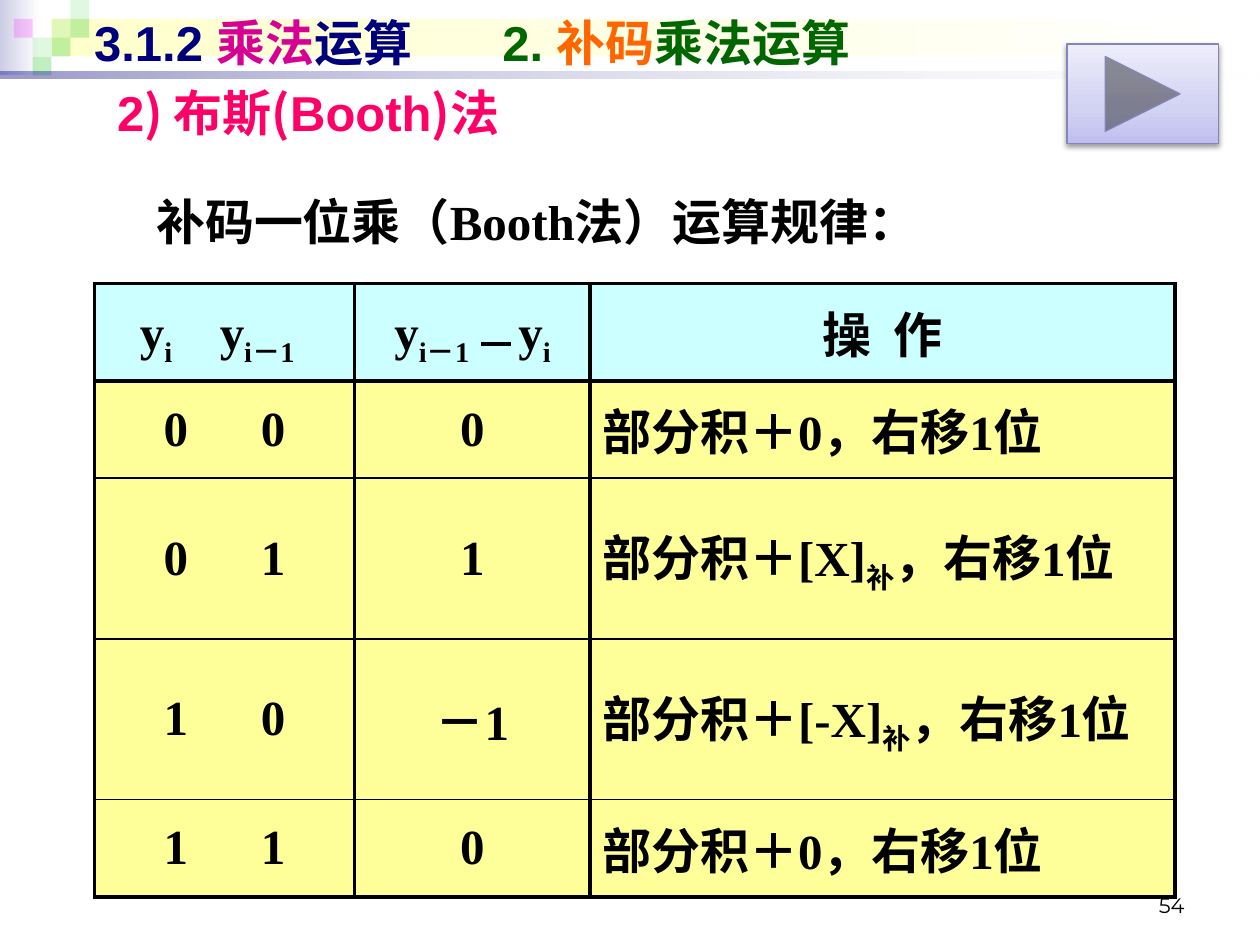
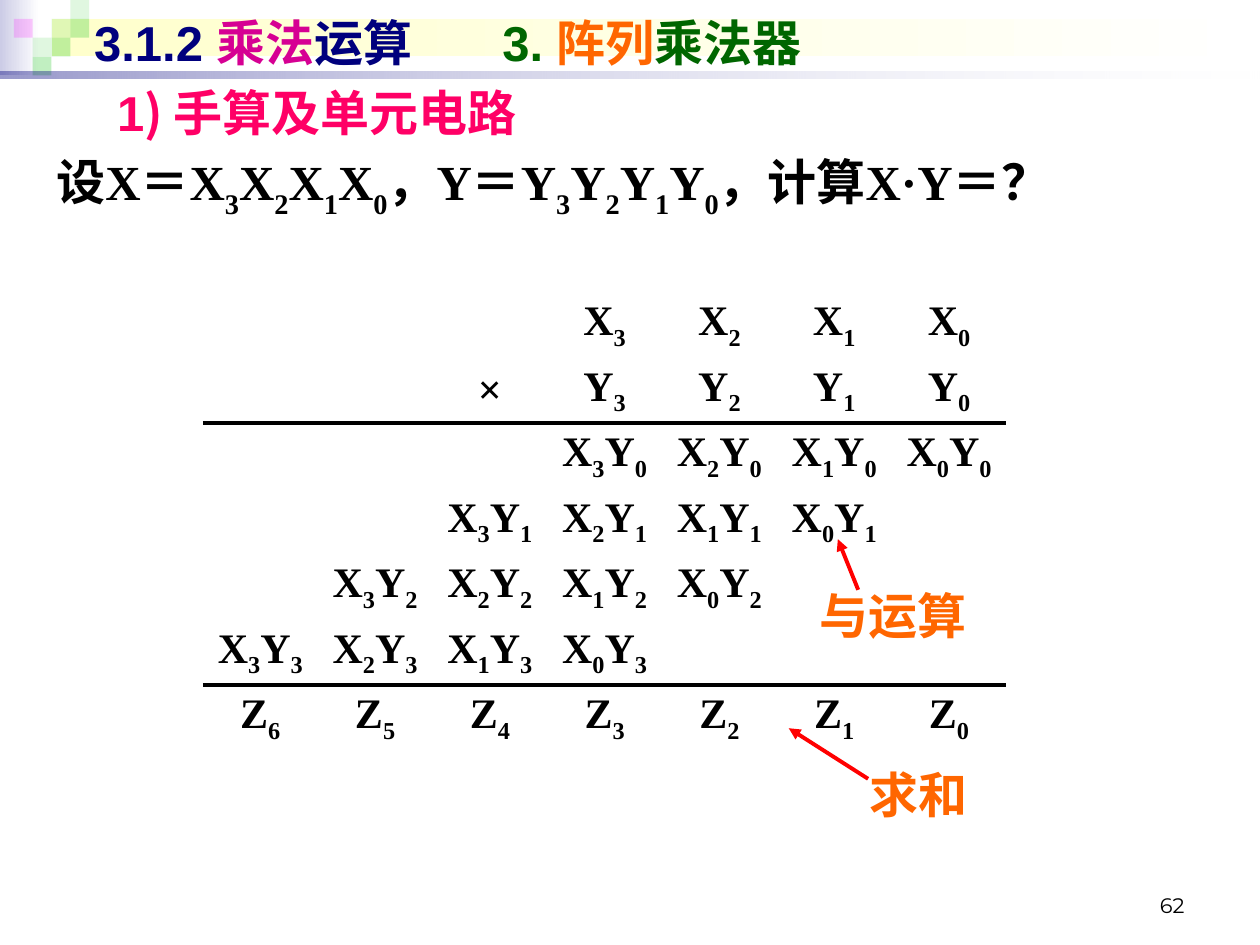
"""Builds two lecture slides on complement (Booth) and array multiplication."""
from itertools import cycle

from lxml import etree
from pptx import Presentation
from pptx import util as u
from pptx.dml.color import RGBColor
from pptx.enum import shapes, text
from pptx.oxml.ns import qn

Cm, Pt = u.Cm, u.Pt
BLACK, WHITE = RGBColor(0, 0, 0), RGBColor(255, 255, 255)
NAVY, MAGENTA = RGBColor(0x00, 0x00, 0x7D), RGBColor(0xD6, 0x00, 0x93)
DARK_GREEN, ORANGE = RGBColor(0x00, 0x66, 0x00), RGBColor(0xFF, 0x66, 0x00)
PINK, RED = RGBColor(0xFF, 0x00, 0x66), RGBColor(0xFF, 0x00, 0x00)
GREEN, FUCHSIA = RGBColor(0x33, 0xCC, 0x33), RGBColor(0xFF, 0x00, 0xFF)
LAVENDER, CREAM = RGBColor(0xCC, 0xCC, 0xE6), RGBColor(0xFF, 0xFF, 0xCC)
CYAN, YELLOW = RGBColor(0xCC, 0xFF, 0xFF), RGBColor(0xFF, 0xFF, 0x99)
BUTTON_LOW, BUTTON_MID = RGBColor(0xBF, 0xBF, 0xF0), RGBColor(0xD2, 0xD2, 0xF3)
BUTTON_HIGH, BUTTON_EDGE = RGBColor(0xED, 0xED, 0xFB), RGBColor(0x86, 0x86, 0xB6)

SANS, SERIF, CJK, NUMERALS = "Arial", "Times New Roman", "Noto Sans CJK SC", "Montserrat"
NO_GRID_STYLE = "{2D5ABB26-0587-4C30-8999-92F81FD0307C}"
TITLE_STYLES = [(SANS, colour, 0) for colour in
                (NAVY, MAGENTA, NAVY, DARK_GREEN, ORANGE, DARK_GREEN)]
SUBTITLE_STYLES = [(SANS, PINK, 0), (CJK, PINK, 0)]
INDEXED_STYLES = [(SERIF, BLACK, 0), (SERIF, BLACK, -25)]
FORMULA_STYLES = [(SERIF, BLACK, 0), (SERIF, BLACK, -30)]
LABEL_STYLES = [(SERIF, ORANGE, 0)]
THICK, THIN = 2.25, 1
SQUARE = 0.38


def sub(parent, tag, **attributes):
    """Append a drawing element with the given attributes."""
    return etree.SubElement(parent, qn(tag), {k: str(v) for k, v in attributes.items()})


def add_colour(parent, colour, opacity=100):
    """Append a colour with its opacity in percent."""
    rgb = sub(parent, "a:srgbClr", val=colour)
    if opacity < 100:
        sub(rgb, "a:alpha", val=opacity * 1000)


def write(paragraph, marked, styles, size=28, space=0, bold=True, tab=None):
    """Write text whose parts, split at bars, take the styles in turn."""
    for part, (font, colour, baseline) in zip(marked.split("|"), cycle(styles)):
        run = paragraph.add_run()
        run.text = part
        run.font.size, run.font.bold = Pt(size), bold
        run.font.name, run.font.color.rgb = font, colour
        properties = run._r.get_or_add_rPr()
        sub(properties, "a:ea", typeface=CJK)
        if baseline:
            properties.set("baseline", str(baseline * 1000))
    if space:
        paragraph.space_before = Pt(size * space)
    if tab:
        stops = sub(paragraph._p.get_or_add_pPr(), "a:tabLst")
        sub(stops, "a:tab", pos=Cm(tab), algn="l")


def add_text(slide, box, marked, styles, anchor=text.MSO_ANCHOR.TOP,
             align=text.PP_ALIGN.LEFT, hanging=0, **options):
    """Add a wrapping text box with one paragraph."""
    frame = slide.shapes.add_textbox(*map(Cm, box)).text_frame
    frame.word_wrap, frame.vertical_anchor = True, anchor
    paragraph = frame.paragraphs[0]
    paragraph.alignment = align
    write(paragraph, marked, styles, **options)
    if hanging:
        properties = paragraph._p.get_or_add_pPr()
        properties.set("marL", str(Cm(hanging)))
        properties.set("indent", str(-Cm(hanging)))


def add_block(slide, box, stops, angle=0, kind=shapes.MSO_SHAPE.RECTANGLE):
    """Add a borderless shape filled by (position, colour, opacity) stops."""
    block = slide.shapes.add_shape(kind, *map(Cm, box))
    block.shadow.inherit = False
    block.line.fill.background()
    if len(stops) == 1:
        block.fill.solid()
        block.fill.fore_color.rgb = stops[0][1]
        fill = block._element.spPr.find(qn("a:solidFill"))
        fill.clear()
        add_colour(fill, *stops[0][1:])
        return block
    block.fill.gradient()
    block.fill.gradient_angle = angle
    stop_list = block._element.spPr.find(qn("a:gradFill")).find(qn("a:gsLst"))
    stop_list.clear()
    for position, *colour in stops:
        add_colour(sub(stop_list, "a:gs", pos=position * 1000), *colour)
    return block


def add_line(slide, start, end, colour, arrow=False):
    """Add a straight line, with an arrowhead at its end if wanted."""
    line = slide.shapes.add_connector(
        shapes.MSO_CONNECTOR.STRAIGHT, *map(Cm, (*start, *end)))
    line.line.color.rgb, line.line.width = colour, Pt(THICK)
    if arrow:
        sub(line.line._get_or_add_ln(), "a:tailEnd", type="triangle")
    sub(line._element.spPr, "a:effectLst")


def add_plain_table(slide, left, top, widths, heights):
    """Add an unstyled table with the given column widths and row heights."""
    table = slide.shapes.add_table(
        len(heights), len(widths), Cm(left), Cm(top),
        Cm(sum(widths)), Cm(sum(heights))).table
    table.first_row = table.horz_banding = False
    table._tbl.tblPr.find(qn("a:tableStyleId")).text = NO_GRID_STYLE
    for column, width in zip(table.columns, widths):
        column.width = Cm(width)
    for row, height in zip(table.rows, heights):
        row.height = Cm(height)
    return table


def format_cell(cell, borders, colour=None):
    """Give a cell a fill and black borders, leaving unnamed sides without a line."""
    for side in "LRTB":
        edge = sub(cell._tc.get_or_add_tcPr(), f"a:ln{side}", w=Pt(borders.get(side, THIN)))
        if side in borders:
            add_colour(sub(edge, "a:solidFill"), BLACK)
        else:
            sub(edge, "a:noFill")
    if colour:
        cell.fill.solid()
        cell.fill.fore_color.rgb = colour
    else:
        cell.fill.background()


def write_cell(cell, marked, size=28, align=text.PP_ALIGN.CENTER, tab=None):
    """Write bold indexed text into the vertical middle of a cell."""
    cell.vertical_anchor = text.MSO_ANCHOR.MIDDLE
    paragraph = cell.text_frame.paragraphs[0]
    paragraph.alignment = align
    write(paragraph, marked, INDEXED_STYLES, size, 0.2, tab=tab)


def write_spread_cell(cell, marked, start, gap):
    """Write two parts, the first at start and the second a gap further right."""
    cell.margin_left = Cm(start)
    write_cell(cell, marked, align=text.PP_ALIGN.LEFT, tab=gap)


def add_frame(slide, title, subtitle, page):
    """Add the band, squares, heading lines and page number of every slide."""
    add_block(slide, (0, 0, 0.79, 1.52), [(0, LAVENDER), (100, WHITE)])
    add_block(slide, (1.04, 0.38, 24.26, 0.76), [(0, CREAM), (100, WHITE)])
    for column, row, colour, opacity in (
            (2, 1, GREEN, 15), (3, 0, GREEN, 15), (3, 1, GREEN, 30), (1, 2, GREEN, 15),
            (0, 1, FUCHSIA, 20), (2, 2, GREEN, 30), (1, 3, GREEN, 30)):
        add_block(slide, (0.28 + SQUARE * column, SQUARE * row, SQUARE, SQUARE),
                  [(0, colour, opacity)])
    add_block(slide, (0, 1.45, 25.4, 0.13), [(0, NAVY, 40), (100, WHITE, 10)])
    add_text(slide, (18.21, 17.35, 5.92, 1.27), page, [(NUMERALS, BLACK, 0)],
             text.MSO_ANCHOR.BOTTOM, text.PP_ALIGN.RIGHT, size=12, bold=False)
    add_text(slide, (1.65, 0.13, 22.86, 1.45), title, TITLE_STYLES,
             text.MSO_ANCHOR.MIDDLE, tab=8.23)
    add_text(slide, (2.11, 1.54, 22.25, 1.45), subtitle, SUBTITLE_STYLES,
             text.MSO_ANCHOR.MIDDLE)


def add_next_button(slide):
    """Add the bevelled forward button with its soft shadow."""
    button = add_block(
        slide, (21.51, 0.89, 3.05, 2.01),
        [(0, BUTTON_LOW), (35, BUTTON_MID), (100, BUTTON_HIGH)], 90,
        shapes.MSO_SHAPE.ACTION_BUTTON_FORWARD_OR_NEXT)
    button.line.color.rgb, button.line.width = BUTTON_EDGE, Pt(0.75)
    shadow = sub(button._element.spPr.find(qn("a:effectLst")), "a:outerShdw",
                 blurRad=Pt(3.1), dist=Pt(1.6), dir=90 * 60000, rotWithShape=0)
    add_colour(shadow, BLACK, 38)


def add_booth_rules(slide, single=1.96, double=3.24):
    """Add the table of Booth operations, with rows for one or two text lines."""
    rules = [("0\t0", "0", "部分积＋0，右移1位"),
             ("0\t1", "1", "部分积＋[X]|补|，右移1位"),
             ("1\t0", "－1", "部分积＋[-X]|补|，右移1位"),
             ("1\t1", "0", "部分积＋0，右移1位")]
    heads = [("y|i|\ty|i－1", 0.92, 1.61), ("y|i－1|\ty|i", 0.8, 2.5),
             ("操\t作", 4.7, 1.43)]
    heights = [single, single, double, double, single]
    table = add_plain_table(slide, 1.9, 5.72, (5.25, 4.74, 11.8), heights)
    for column, head in enumerate(heads):
        write_spread_cell(table.cell(0, column), *head)
    for row, (bits, difference, operation) in enumerate(rules, 1):
        write_spread_cell(table.cell(row, 0), bits, 1.4, 1.96)
        write_cell(table.cell(row, 1), difference)
        write_cell(table.cell(row, 2), operation, align=text.PP_ALIGN.LEFT)
    for row in range(len(heights)):
        borders = {"L": THICK, "R": THICK, "T": THICK if row < 2 else THIN,
                   "B": THICK if row in (0, len(rules)) else THIN}
        for column in range(len(heads)):
            format_cell(table.cell(row, column), borders, YELLOW if row else CYAN)


def add_long_multiplication(slide, bits=4):
    """Add the column-by-column product of X and Y."""
    last = 2 * bits - 2
    entries = {(1, last - bits): "×"}
    for i in range(bits):
        entries[0, last - i] = f"X|{i}"
        entries[1, last - i] = f"Y|{i}"
        for j in range(bits):
            entries[2 + j, last - i - j] = f"X|{i}|Y|{j}"
    for k in range(last + 1):
        entries[2 + bits, last - k] = f"Z|{k}"
    widths, heights = [16.2 / (last + 1)] * (last + 1), [1.32] * (bits + 3)
    table = add_plain_table(slide, 4.09, 5.89, widths, heights)
    for row in range(len(heights)):
        borders = {}
        if row in (2, bits + 2):
            borders = {"T": THICK}
        elif row in (1, bits + 1):
            borders = {"B": THICK}
        for column in range(len(widths)):
            cell = table.cell(row, column)
            cell.margin_top = cell.margin_bottom = Cm(0.05)
            format_cell(cell, borders)
            if (row, column) in entries:
                write_cell(cell, entries[row, column], 24)


def add_label(slide, box, label, start, tip):
    """Add an orange label with a red arrow to what it names."""
    add_text(slide, box, label, LABEL_STYLES, align=text.PP_ALIGN.CENTER, space=0.5)
    add_line(slide, start, tip, RED, arrow=True)


def main():
    """Build and save both slides."""
    deck = Presentation()
    deck.slide_width, deck.slide_height = Cm(25.4), Cm(19.05)
    blank = deck.slide_layouts[6]

    booth = deck.slides.add_slide(blank)
    add_frame(booth, "3.1.2 |乘法|运算\t|2. |补码|乘法运算", "2|) |布斯|(|Booth|)|法", "54")
    add_text(booth, (2.9, 3.73, 21.62, 1.6), "补码一位乘（Booth法）运算规律：",
             INDEXED_STYLES, hanging=0.97, space=0.2)
    add_booth_rules(booth)
    add_line(booth, (9.7, 6.93), (10.31, 6.93), BLACK)
    add_next_button(booth)

    array = deck.slides.add_slide(blank)
    add_frame(array, "3.1.2 |乘法|运算\t|3. |阵列|乘法器", "1|) |手算及单元电路", "62")
    add_text(array, (0.89, 2.92, 23.8, 1.8),
             "设X＝X|3|X|2|X|1|X|0|，Y＝Y|3|Y|2|Y|1|Y|0|，计算X·Y＝？",
             FORMULA_STYLES, hanging=1.02, space=0.2)
    add_long_multiplication(array)
    add_label(array, (16.1, 11.68, 3.81, 1.45), "与运算", (17.3, 11.89), (16.89, 10.87))
    add_label(array, (16.92, 15.29, 3.2, 1.45), "求和", (17.5, 15.7), (15.9, 14.68))
    deck.save("out.pptx")


if __name__ == "__main__":
    main()
